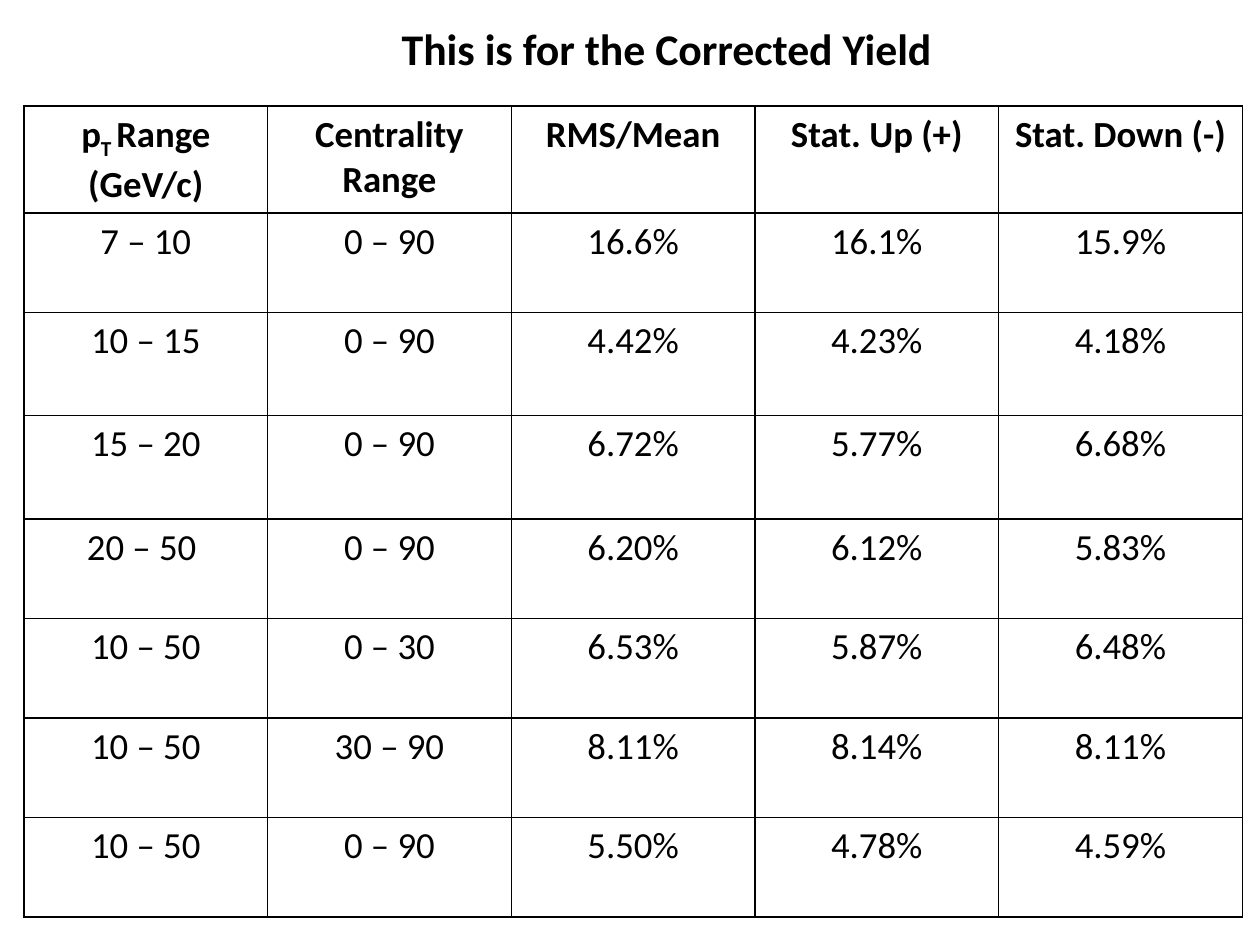
"""Build a slide tabulating the corrected yield by pT and centrality range."""
from typing import NamedTuple

from lxml.etree import SubElement
from pptx import Presentation
from pptx.dml.color import RGBColor
from pptx.enum.text import MSO_AUTO_SIZE as AutoSize, PP_ALIGN as Align
from pptx.oxml.ns import qn
from pptx.util import Inches, Pt

BLACK = RGBColor(0x00, 0x00, 0x00)
FONT = "Calibri"
COLUMN_WIDTH = 1.934
ROW_HEIGHTS = (0.83, 0.79, 0.82, 0.82, 0.79, 0.79, 0.79, 0.79)


class YieldRow(NamedTuple):
    pt_range: str
    centrality: str
    rms_mean: str
    stat_up: str
    stat_down: str


HEADER = YieldRow("p|T |Range (GeV/c)", "Centrality Range", "RMS/Mean",
                  "Stat. Up (+)", "Stat. Down (-)")
YIELDS = (
    YieldRow("7 – 10", "0 – 90", "16.6%", "16.1%", "15.9%"),
    YieldRow("10 – 15", "0 – 90", "4.42%", "4.23%", "4.18%"),
    YieldRow("15 – 20", "0 – 90", "6.72%", "5.77%", "6.68%"),
    YieldRow("20 – 50 ", "0 – 90", "6.20%", "6.12%", "5.83%"),
    YieldRow("10 – 50", "0 – 30", "6.53%", "5.87%", "6.48%"),
    YieldRow("10 – 50", "30 – 90", "8.11%", "8.14%", "8.11%"),
    YieldRow("10 – 50", "0 – 90", "5.50%", "4.78%", "4.59%"),
)


def write(paragraph, text: str, size: float, bold: bool) -> None:
    """Write text whose every second '|' part is a subscript."""
    font = paragraph.font
    font.name, font.size, font.bold = FONT, Pt(size), bold
    font.color.rgb = BLACK
    for index, part in enumerate(text.split("|")):
        run = paragraph.add_run()
        run.text = part
        if index % 2:
            run.font._element.set("baseline", "-25000")


def add_borders(cell) -> None:
    """Draw a thin black line on all four sides of a cell."""
    properties = cell._tc.get_or_add_tcPr()
    for side in ("lnL", "lnR", "lnT", "lnB"):
        line = SubElement(properties, qn(f"a:{side}"), w=str(Pt(1)))
        fill = SubElement(line, qn("a:solidFill"))
        SubElement(fill, qn("a:srgbClr"), val=str(BLACK))


def add_title(slide) -> None:
    """Add the heading above the table."""
    title = slide.shapes.add_textbox(Inches(3.09), Inches(0.12), Inches(4.47), Inches(0.52))
    title.text_frame.word_wrap = False
    title.text_frame.auto_size = AutoSize.SHAPE_TO_FIT_TEXT
    write(title.text_frame.paragraphs[0], "This is for the Corrected Yield", 25, True)


def add_yield_table(slide) -> None:
    """Add the bordered table of yields."""
    rows = (HEADER, *YIELDS)
    columns = len(HEADER)
    table = slide.shapes.add_table(
        len(rows), columns, Inches(0.19), Inches(0.84),
        Inches(COLUMN_WIDTH * columns), Inches(sum(ROW_HEIGHTS))).table
    table.first_row = table.horz_banding = False
    for column in table.columns:
        column.width = Inches(COLUMN_WIDTH)
    for row_index, (entry, height) in enumerate(zip(rows, ROW_HEIGHTS)):
        table.rows[row_index].height = Inches(height)
        for column_index, text in enumerate(entry):
            cell = table.cell(row_index, column_index)
            add_borders(cell)
            cell.fill.background()
            paragraph = cell.text_frame.paragraphs[0]
            paragraph.alignment = Align.CENTER
            write(paragraph, text, 21, entry is HEADER)


def main() -> None:
    """Assemble and save the slide."""
    deck = Presentation()
    deck.slide_width, deck.slide_height = Inches(10), Inches(7.5)
    slide = deck.slides.add_slide(deck.slide_layouts[6])
    add_title(slide)
    add_yield_table(slide)
    deck.save("out.pptx")


main()
